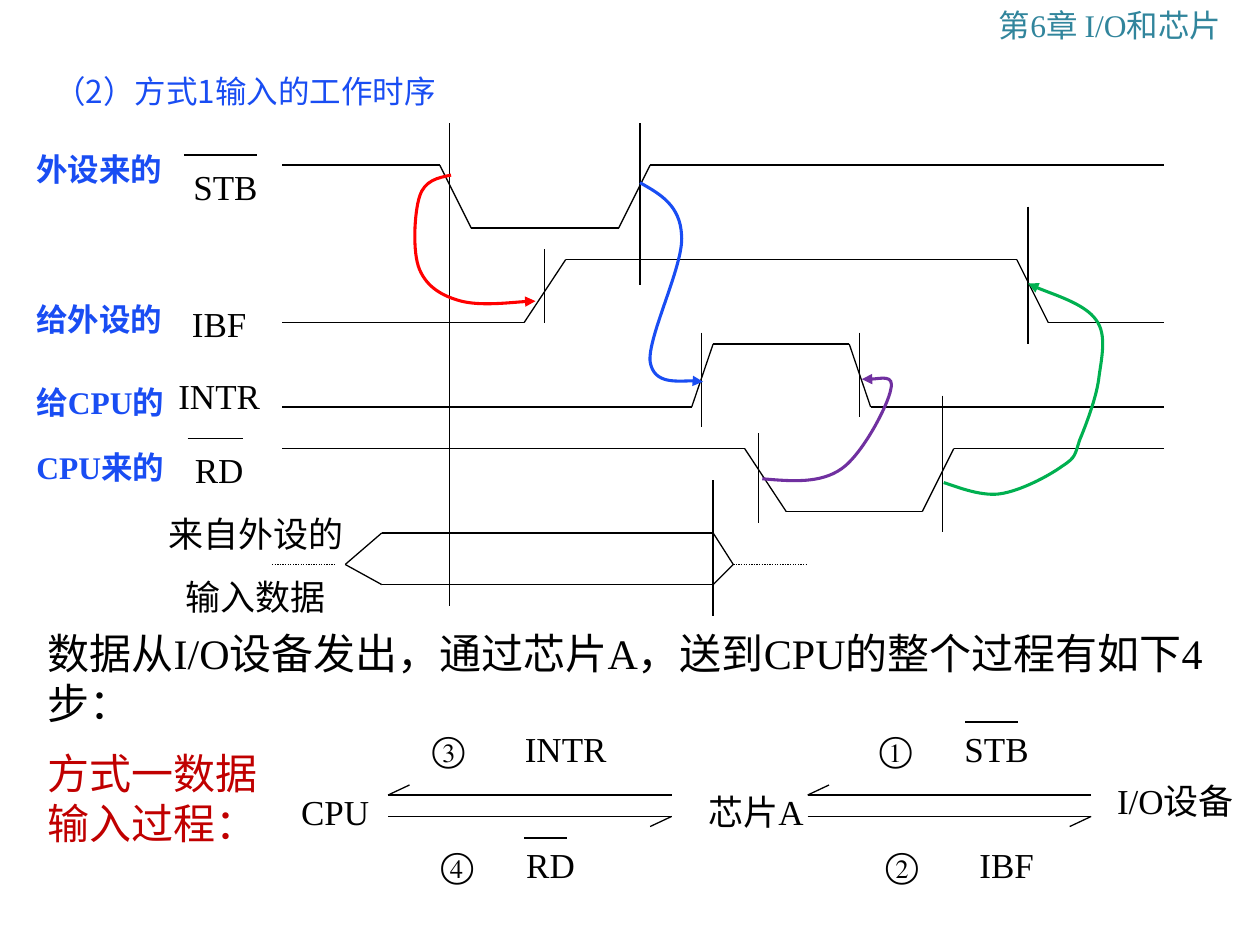
import itertools

import pptx
import pptx.dml.color
import pptx.enum.dml
import pptx.enum.shapes
import pptx.enum.text
import pptx.oxml.ns
import pptx.util
from lxml import etree

Inches = pptx.util.Inches
RGBColor = pptx.dml.color.RGBColor
ALIGN = pptx.enum.text.PP_ALIGN
ANCHOR = pptx.enum.text.MSO_ANCHOR
qn = pptx.oxml.ns.qn

BLACK = RGBColor(0x00, 0x00, 0x00)
BLUE = RGBColor(0x19, 0x4D, 0xF3)
TEAL = RGBColor(0x31, 0x85, 0x9C)
DARK_RED = RGBColor(0xC0, 0x00, 0x00)
RED = RGBColor(0xFF, 0x00, 0x00)
GREEN = RGBColor(0x00, 0xB0, 0x50)
PURPLE = RGBColor(0x70, 0x30, 0xA0)
SERIF = "Times New Roman"
CJK = "Noto Sans CJK SC"

WAVES = [
    # STB, IBF, INTR, RD
    [(2.24, 1.31), (3.49, 1.31), (3.74, 1.81), (4.91, 1.81), (5.16, 1.31), (9.24, 1.31)],
    [(2.24, 2.56), (4.16, 2.56), (4.49, 2.06), (8.07, 2.06), (8.32, 2.56), (9.24, 2.56)],
    [(2.24, 3.23), (5.49, 3.23), (5.66, 2.73), (6.74, 2.73), (6.91, 3.23), (9.24, 3.23)],
    [(2.24, 3.56), (5.91, 3.56), (6.24, 4.06), (7.32, 4.06), (7.57, 3.56), (9.24, 3.56)],
    # data bus outline
    [(5.66, 4.23), (3.03, 4.23), (2.74, 4.48), (3.03, 4.64), (5.66, 4.64),
     (5.82, 4.48), (5.66, 4.23)],
]
# x, top, bottom
TIME_MARKS = [
    (3.57, 0.98, 4.81), (5.08, 0.98, 2.26), (4.32, 1.98, 2.56),
    (5.57, 2.64, 3.39), (6.82, 2.64, 3.31), (8.16, 1.64, 2.73),
    (7.48, 3.14, 4.22), (6.02, 3.44, 4.15), (5.66, 3.81, 4.89),
]
# left, right, y
OVERLINES = [(1.46, 2.04, 1.23), (1.49, 1.93, 3.48), (4.16, 4.5, 6.65), (7.66, 8.08, 5.73)]
# text, centre x, centre y
LABELS = [
    ("STB", 1.79, 1.48), ("IBF", 1.74, 2.57), ("INTR", 1.74, 3.14), ("RD", 1.74, 3.73),
    ("CPU", 2.66, 6.44), ("芯片A", 6, 6.44), ("I/O设备", 9.33, 6.35),
    ("①", 7.11, 5.94), ("STB", 7.91, 5.94), ("③", 3.56, 5.94), ("INTR", 4.49, 5.94),
    ("②", 7.16, 6.86), ("IBF", 7.99, 6.86), ("④", 3.63, 6.86), ("RD", 4.37, 6.86),
]
SOURCES = [("外设来的", 1.14), ("给外设的", 2.33), ("给CPU的", 2.99), ("CPU来的", 3.51)]
# start point, then two control points and an end point for each curve
CAUSE_ARROWS = [
    (GREEN, [(7.49, 3.83), (7.56, 3.85), (7.77, 3.94), (7.93, 3.92),
             (8.09, 3.9), (8.32, 3.78), (8.43, 3.7), (8.54, 3.63), (8.53, 3.61), (8.57, 3.49),
             (8.62, 3.37), (8.7, 3.16), (8.72, 3.01), (8.74, 2.85), (8.79, 2.66), (8.7, 2.54),
             (8.61, 2.41), (8.27, 2.31), (8.16, 2.25)]),
    (BLUE, [(5.08, 1.45), (5.24, 1.54), (5.4, 1.63), (5.41, 1.87),
            (5.43, 2.1), (5.14, 2.67), (5.16, 2.87), (5.19, 3.06), (5.51, 3.01), (5.58, 3.03)]),
    (RED, [(3.58, 1.39), (3.48, 1.41), (3.37, 1.43), (3.33, 1.56),
           (3.29, 1.68), (3.27, 2), (3.33, 2.14), (3.39, 2.28), (3.51, 2.35), (3.66, 2.39),
           (3.82, 2.43), (4.15, 2.39), (4.25, 2.39)]),
    (PURPLE, [(6.05, 3.8), (6.28, 3.82), (6.51, 3.84), (6.68, 3.72),
              (6.85, 3.6), (7.05, 3.21), (7.07, 3.09), (7.1, 2.97), (6.89, 3.02), (6.84, 3.01)]),
]


def write_text(frame, text, size=20, color=BLACK, font=SERIF, bold=False,
               align=ALIGN.LEFT, anchor=ANCHOR.TOP, wrap=True, spacing=None):
    frame.word_wrap = wrap
    frame.auto_size = pptx.enum.text.MSO_AUTO_SIZE.NONE
    frame.vertical_anchor = anchor
    frame.text = text
    for para in frame.paragraphs:
        para.alignment = align
        para.line_spacing = spacing
        for span in para.runs:
            span.font.size = pptx.util.Pt(size)
            span.font.bold = bold
            span.font.color.rgb = color
            span.font.name = font
            etree.SubElement(span.font._element, qn("a:ea"), typeface=CJK)


def add_text(page, text, left, top, width, height, **style):
    box = page.shapes.add_textbox(Inches(left), Inches(top), Inches(width), Inches(height))
    write_text(box.text_frame, text, **style)


def add_label(page, text, x, y, width=1, height=0.5, **style):
    """Centre an unwrapped label on the point x, y."""
    add_text(page, text, x - width / 2, y - height / 2, width, height, wrap=False,
             align=ALIGN.CENTER, anchor=ANCHOR.MIDDLE, **style)


def add_line(page, start, end, dash=None):
    line = page.shapes.add_connector(
        pptx.enum.shapes.MSO_CONNECTOR.STRAIGHT, *map(Inches, start + end))
    line.line.color.rgb = BLACK
    line.line.width = pptx.util.Pt(0.75)
    if dash:
        line.line.dash_style = dash
    etree.SubElement(line._element.spPr, qn("a:effectLst"))


def add_wave(page, points):
    for start, end in itertools.pairwise(points):
        add_line(page, start, end)


def add_curved_arrow(page, color, points):
    """Draw cubic curves by grouping the outline's points in threes."""
    start, *rest = [(Inches(x), Inches(y)) for x, y in points]
    builder = page.shapes.build_freeform(*start)
    builder.add_line_segments(rest, close=False)
    arrow = builder.convert_to_shape()
    arrow.shadow.inherit = False
    arrow.fill.background()
    arrow.line.color.rgb = color
    arrow.line.width = pptx.util.Pt(1.75)
    etree.SubElement(arrow.line._get_or_add_ln(), qn("a:tailEnd"), type="triangle")
    segments = list(arrow._element.iter(qn("a:lnTo")))
    outline = segments[0].getparent()
    for first in range(0, len(segments), 3):
        curve = etree.SubElement(outline, qn("a:cubicBezTo"))
        for segment in segments[first:first + 3]:
            curve.append(segment[0])
            outline.remove(segment)


def add_exchange(page, left, right):
    """Draw a pair of half-headed arrows, to the left above and to the right below."""
    add_wave(page, [(right, 6.31), (left, 6.31), (left + 0.17, 6.23)])
    add_wave(page, [(left, 6.48), (right, 6.48), (right - 0.17, 6.56)])


def add_timing_diagram(page):
    for points in WAVES:
        add_wave(page, points)
    for x, top, bottom in TIME_MARKS:
        add_line(page, (x, top), (x, bottom))
    for left, right in [(2.16, 2.66), (5.82, 6.41)]:
        add_line(page, (left, 4.48), (right, 4.48), pptx.enum.dml.MSO_LINE.ROUND_DOT)
    for text, top in SOURCES:
        add_text(page, text, 0.19, top, 1.22, 0.4, size=18, color=BLUE, bold=True)
    add_label(page, "来自外设的\n输入数据", 2.03, 4.4, 1.42, 1.17, spacing=1.5)


def main():
    deck = pptx.Presentation()
    deck.slide_width, deck.slide_height = Inches(10), Inches(7.5)
    page = deck.slides.add_slide(deck.slide_layouts[5])

    title = page.shapes.title
    title.left, title.top = Inches(0.33), Inches(0.58)
    title.width, title.height = Inches(9.67), Inches(0.65)
    write_text(title.text_frame, "（2）方式1输入的工作时序", size=18, color=BLUE,
               font=CJK, spacing=0.8)
    add_text(page, "第6章 I/O和芯片", 7.83, 0, 2.17, 0.4, size=18, color=TEAL)

    add_timing_diagram(page)
    for left, right, y in OVERLINES:
        add_line(page, (left, y), (right, y))
    for label in LABELS:
        add_label(page, *label)
    for left in (3.08, 6.41):
        add_exchange(page, left, left + 2.25)
    add_text(page, "数据从I/O设备发出，通过芯片A，送到CPU的整个过程有如下4步：",
             0.28, 4.93, 9.37, 0.9, size=24)
    add_text(page, "方式一数据输入过程：", 0.28, 5.88, 1.89, 0.9, size=24, color=DARK_RED)
    for color, points in CAUSE_ARROWS:
        add_curved_arrow(page, color, points)

    deck.save("out.pptx")


if __name__ == "__main__":
    main()
